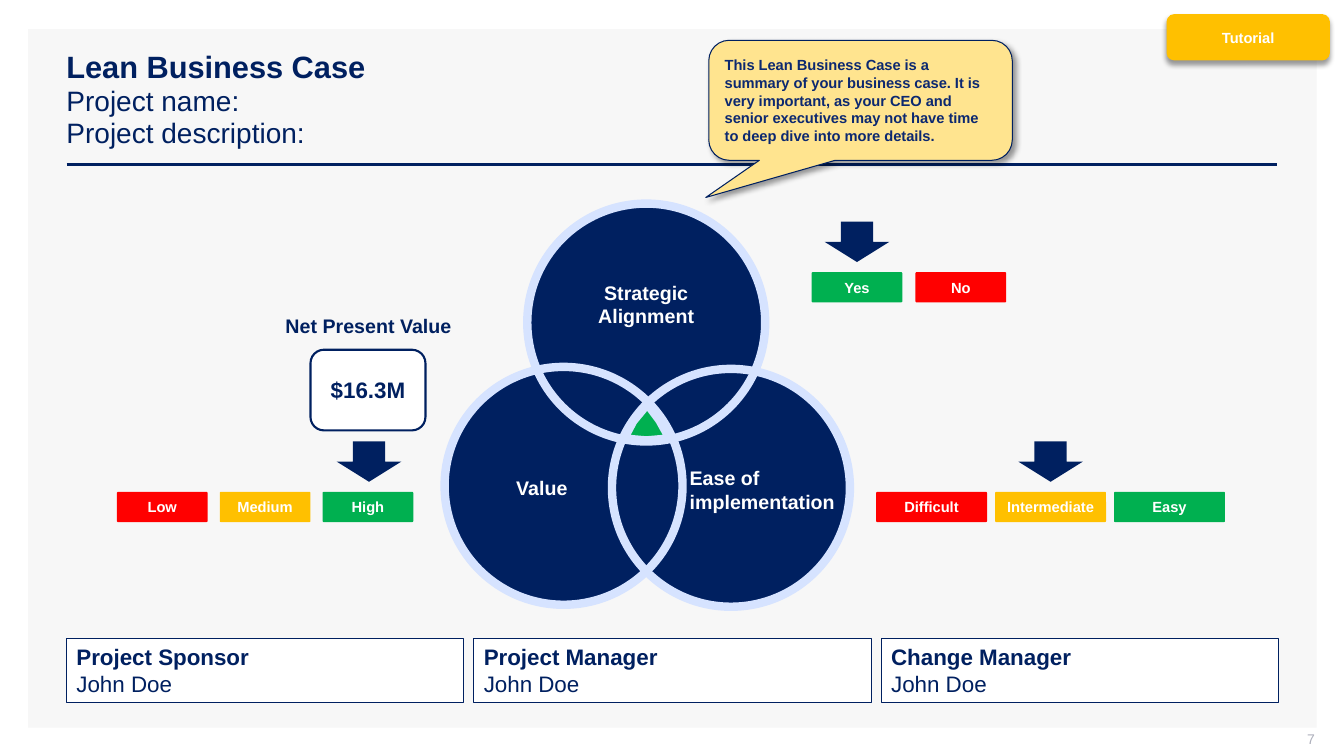
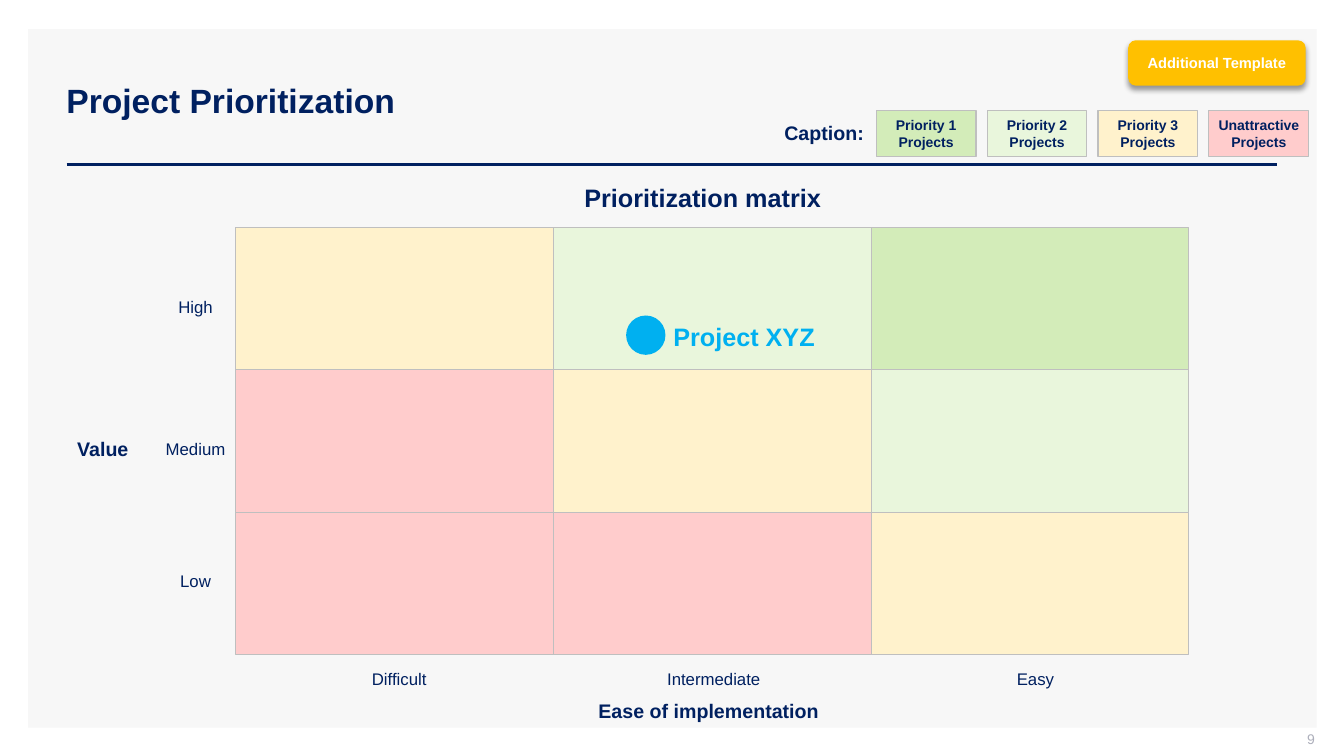
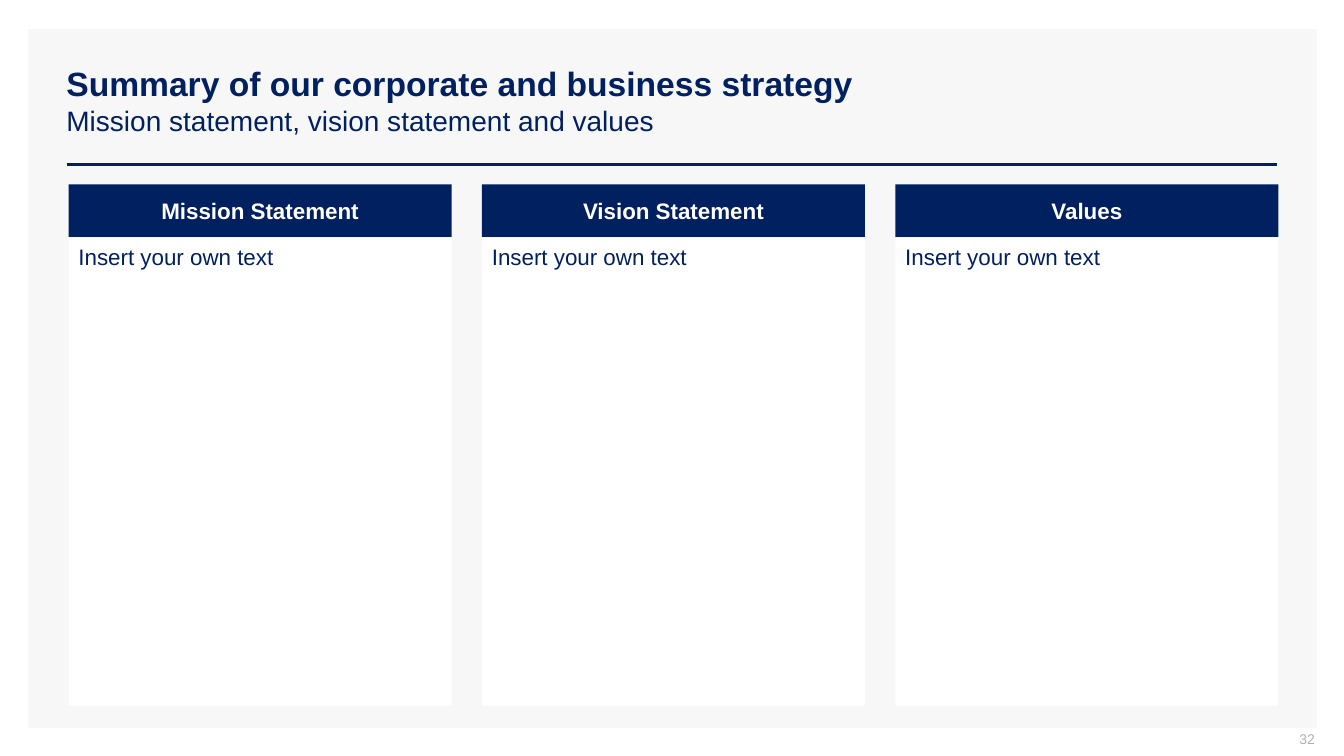
from lxml import etree
from pptx import Presentation
from pptx.dml import color
from pptx.enum import shapes, text
from pptx.oxml import ns
from pptx.util import Inches, Pt

NAVY, WHITE, PALE, GREY = "002060", "FFFFFF", "F7F7F7", "BFBFBF"
GREEN, RED, AMBER, RING, SKY = "00B050", "FF0000", "FFC000", "D6E3FF", "00B0F0"
BEST, GOOD, FAIR, POOR = "D3ECB9", "E9F6DC", "FFF2CC", "FFCCCC"
KIND = shapes.MSO_SHAPE
LEFT, MID, RIGHT = text.PP_ALIGN.LEFT, text.PP_ALIGN.CENTER, text.PP_ALIGN.RIGHT
TOP, CORE = text.MSO_ANCHOR.TOP, text.MSO_ANCHOR.MIDDLE

CASE = [("Lean Business Case", 22, True), ("Project name:", 20, False),
        ("Project description:", 20, False)]
RANK = [("Project Prioritization", 24, True)]
PLAN = [("Summary of our corporate and business strategy", 24, True),
        ("Mission statement, vision statement and values", 20, False)]

RATES = [
    (8.05, 2.7, 0.9, 1.03, 8.18, [("Yes", GREEN), ("No", RED)]),
    (1.16, 4.88, 0.9, 1.02, 3.34, [("Low", RED), ("Medium", AMBER), ("High", GREEN)]),
    (8.69, 4.88, 1.1, 1.18, 10.1,
     [("Difficult", RED), ("Intermediate", AMBER), ("Easy", GREEN)]),
]
RINGS = [(6.41, 3.2), (5.59, 4.82), (7.25, 4.84)]
RADIUS = 1.18
CORNERS = [(6.42, 4.01), (6.54, 4.17), (6.64, 4.35), (6.53, 4.36),
           (6.41, 4.37), (6.29, 4.36), (6.19, 4.35), (6.28, 4.18)]
THEMES = [(5.23, 2.02, 2.36, 2, ["Strategic", "Alignment"], MID),
          (5.12, 4.6, 0.9, 0.48, ["Value"], LEFT),
          (6.84, 4.5, 1.59, 0.72, ["Ease of implementation"], LEFT)]
ROLES = ["Project Sponsor", "Project Manager", "Change Manager"]
ADVICE = ("This Lean Business Case is a summary of your business case. It is very "
          "important, as your CEO and senior executives may not have time to deep "
          "dive into more details.")

MATRIX = [[FAIR, GOOD, BEST], [POOR, FAIR, GOOD], [POOR, POOR, FAIR]]
LEGEND = [("Priority 1 Projects", BEST), ("Priority 2 Projects", GOOD),
          ("Priority 3 Projects", FAIR), ("Unattractive Projects", POOR)]
LABELS = [("High", 1.94, 3.04, 12, False), ("Medium", 1.94, 4.45, 12, False),
          ("Low", 1.94, 5.76, 12, False), ("Difficult", 3.96, 6.73, 12, False),
          ("Intermediate", 7.08, 6.73, 12, False), ("Easy", 10.27, 6.73, 12, False),
          ("Value", 1.02, 4.45, 14, True), ("Ease of implementation", 7.03, 7.05, 14, True),
          ("Prioritization matrix", 6.97, 1.96, 18, True)]
PANELS = ["Mission Statement", "Vision Statement", "Values"]


def rgb(code):
    return color.RGBColor.from_string(code)


def write(shape, rows, ink=NAVY, align=LEFT, anchor=CORE, pad=(0.1, 0.05, 0.1, 0.05), gap=None):
    frame = shape.text_frame
    frame.word_wrap = True
    frame.vertical_anchor = anchor
    (frame.margin_left, frame.margin_top,
     frame.margin_right, frame.margin_bottom) = map(Inches, pad)
    for i, (words, size, bold) in enumerate(rows):
        para = frame.paragraphs[0] if i == 0 else frame.add_paragraph()
        para.text = words
        para.alignment = align
        para.line_spacing = gap
        font = para.font
        font.name, font.size, font.bold = "Arial", Pt(size), bold
        font.color.rgb = rgb(ink)


def label(slide, x, y, w, h, rows, **style):
    write(slide.shapes.add_textbox(*map(Inches, (x, y, w, h))), rows, **style)


def paint(shape, fill, edge, width):
    shape.shadow.inherit = False
    if fill:
        shape.fill.solid()
        shape.fill.fore_color.rgb = rgb(fill)
    else:
        shape.fill.background()
    if edge:
        shape.line.color.rgb = rgb(edge)
        shape.line.width = Pt(width)
    else:
        shape.line.fill.background()


def block(slide, x, y, w, h, fill, edge=None, width=0.75, kind=KIND.RECTANGLE,
          adj=(), rows=(), **style):
    shape = slide.shapes.add_shape(kind, *map(Inches, (x, y, w, h)))
    paint(shape, fill, edge, width)
    for i, value in enumerate(adj):
        shape.adjustments[i] = value
    if rows:
        write(shape, rows, **style)
    return shape


def shade(shape, angle):
    effects = shape._element.spPr.find(ns.qn("a:effectLst"))
    drop = etree.SubElement(effects, ns.qn("a:outerShdw"), blurRad=str(Pt(4)),
                            dist=str(Pt(3)), dir=str(angle * 60000), rotWithShape="0")
    tint = etree.SubElement(drop, ns.qn("a:srgbClr"), val="000000")
    etree.SubElement(tint, ns.qn("a:alpha"), val="40000")


def badge(slide, x, y, w, h, words):
    shade(block(slide, x, y, w, h, AMBER, kind=KIND.ROUNDED_RECTANGLE,
                rows=[(words, 10.5, True)], ink=WHITE, align=MID), 90)


def start(deck, title, page, gap=None):
    slide = deck.slides.add_slide(deck.slide_layouts[6])
    block(slide, 0.28, 0.29, 12.78, 6.93, PALE)
    rule = slide.shapes.add_connector(shapes.MSO_CONNECTOR.STRAIGHT,
                                      *map(Inches, (0.66, 1.63, 12.67, 1.63)))
    rule.line.color.rgb = rgb(NAVY)
    rule.line.width = Pt(2)
    etree.SubElement(rule._element.spPr, ns.qn("a:effectLst"))
    label(slide, 0.56, 0.4, 12.11, 1.19, title, gap=gap)
    label(slide, 10.04, 7.25, 3, 0.21, [(page, 10, False)], ink="ADAFBB",
          align=RIGHT, pad=(0.1, 0, 0, 0.05))
    return slide


def venn(slide):
    for fill, edge in ((NAVY, None), (None, RING)):
        for x, y in RINGS:
            block(slide, x - RADIUS, y - RADIUS, 2 * RADIUS, 2 * RADIUS,
                  fill, edge, 6, KIND.OVAL)
    points = [(Inches(x), Inches(y)) for x, y in CORNERS]
    path = slide.shapes.build_freeform(*points[0])
    path.add_line_segments(points[1:], close=True)
    paint(path.convert_to_shape(), GREEN, RING, 6)
    for x, y, w, h, lines, align in THEMES:
        label(slide, x, y, w, h, [(line, 14, True) for line in lines],
              ink=WHITE, align=align, pad=(0, 0.05, 0, 0.05))


def case(deck):
    slide = start(deck, CASE, "7", 0.95)
    venn(slide)
    for x, y, w, step, mark, rates in RATES:
        for i, (words, fill) in enumerate(rates):
            block(slide, x + i * step, y, w, 0.3, fill, kind=KIND.ROUNDED_RECTANGLE,
                  adj=[0.04], rows=[(words, 10.5, True)], ink=WHITE, align=MID)
        block(slide, mark, y - 0.5, 0.64, 0.4, NAVY, kind=KIND.DOWN_ARROW)
    for i, role in enumerate(ROLES):
        block(slide, 0.66 + i * 4.04, 6.33, 3.94, 0.64, WHITE, NAVY,
              rows=[(role, 16, True), ("John Doe", 16, False)])
    block(slide, 3.08, 3.47, 1.14, 0.8, WHITE, NAVY, 1.5, KIND.ROUNDED_RECTANGLE,
          rows=[("$16.3M", 16, True)], align=MID)
    label(slide, 2.3, 3.06, 2.71, 0.34, [("Net Present Value", 14, True)], align=MID)
    shade(block(slide, 7.03, 0.4, 3.01, 1.19, "FFE48F", NAVY,
                kind=KIND.ROUNDED_RECTANGULAR_CALLOUT, adj=[-0.51, 0.81, 0.17],
                rows=[(ADVICE, 10.5, True)], ink="0C2870"), 45)
    badge(slide, 11.57, 0.14, 1.62, 0.46, "Tutorial")


def rank(deck):
    slide = start(deck, RANK, "9")
    for r, fills in enumerate(MATRIX):
        for c, fill in enumerate(fills):
            block(slide, 2.34 + c * 3.15, 2.26 + r * 1.41, 3.15, 1.41, fill, GREY)
    for words, x, y, size, bold in LABELS:
        w = 4 if size > 12 else 1.6
        label(slide, x - w / 2, y - 0.2, w, 0.4, [(words, size, bold)], align=MID)
    label(slide, 6.58, 3.14, 2.45, 0.4, [("Project XYZ", 18, True)], ink=SKY)
    block(slide, 6.21, 3.13, 0.39, 0.39, SKY, kind=KIND.OVAL)
    badge(slide, 11.19, 0.4, 1.76, 0.45, "Additional Template")
    label(slide, 7.68, 1.15, 1.02, 0.34, [("Caption:", 14, True)])
    for i, (words, fill) in enumerate(LEGEND):
        block(slide, 8.69 + i * 1.1, 1.1, 0.99, 0.45, fill, GREY,
              rows=[(words, 10, True)], align=MID, pad=(0.04, 0.05, 0.04, 0.05))


def plan(deck):
    slide = start(deck, PLAN, "32")
    for i, head in enumerate(PANELS):
        x = 0.68 + i * 4.1
        block(slide, x, 1.83, 3.8, 0.52, NAVY, rows=[(head, 16, True)],
              ink=WHITE, align=MID)
        block(slide, x, 2.36, 3.8, 4.64, WHITE,
              rows=[("Insert your own text", 16, False)], anchor=TOP)


def main():
    deck = Presentation()
    deck.slide_width, deck.slide_height = Inches(13.33), Inches(7.5)
    for make in (case, rank, plan):
        make(deck)
    deck.save("out.pptx")


if __name__ == "__main__":
    main()
